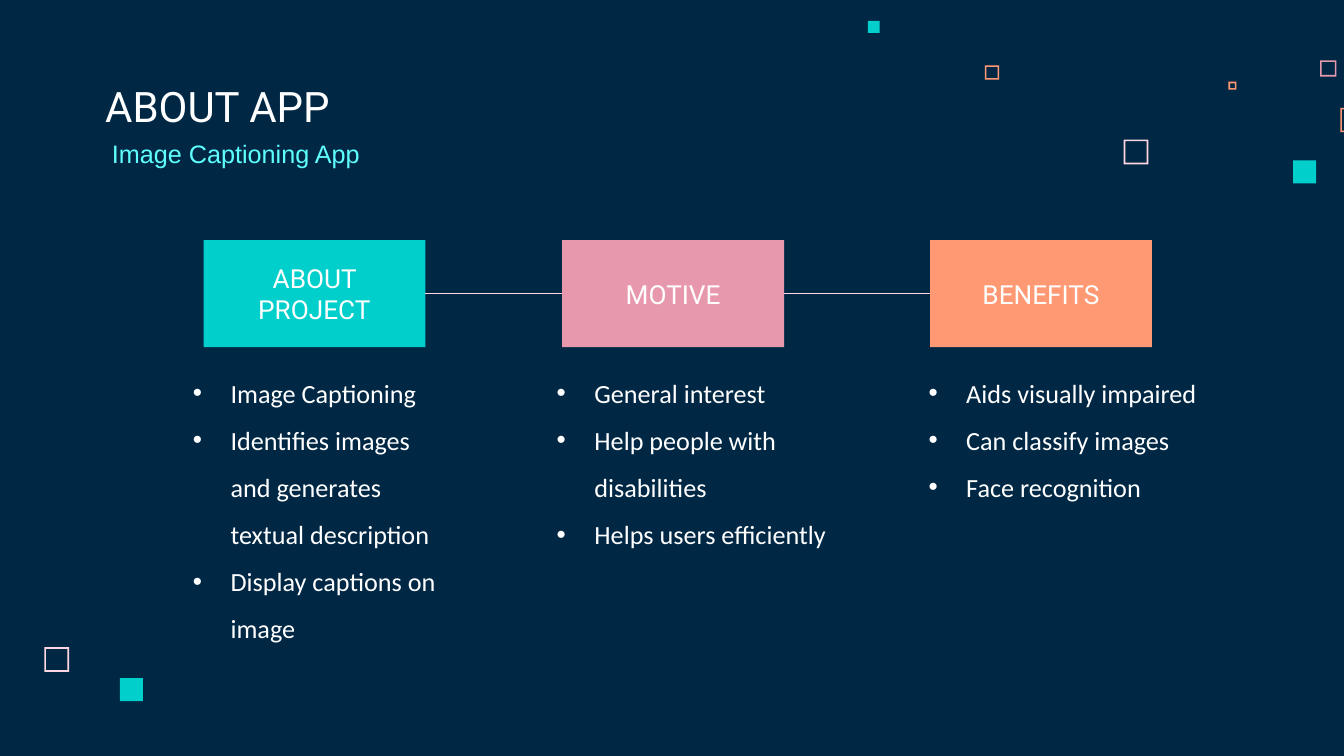
from dataclasses import dataclass

from lxml.etree import SubElement
from pptx import Presentation
from pptx.dml.color import RGBColor
from pptx.enum.shapes import MSO_CONNECTOR, MSO_SHAPE
from pptx.enum.text import MSO_ANCHOR, MSO_AUTO_SIZE, PP_ALIGN
from pptx.oxml.ns import qn
from pptx.util import Cm, Pt

NAVY = "002845"
WHITE = "FFFFFF"
TEAL = "00CFCC"
AQUA = "5EFFFD"
ROSE = "E898AC"
ORANGE = "FF9973"
BLUSH = "FFD6E1"

BOX_TOP, BOX_WIDTH, BOX_HEIGHT = 6.05, 5.59, 2.7
LIST_TOP, LIST_HEIGHT = 8.76, 2.39
WIDE_INSET = (0.34, 0.34)
BULLET_INDENT = 0.95
FRAME_THICKNESS = 0.04


@dataclass(frozen=True)
class Style:
    font: str
    size: float
    color: str = WHITE
    align: PP_ALIGN = PP_ALIGN.LEFT
    anchor: MSO_ANCHOR = MSO_ANCHOR.TOP
    inset: tuple[float, float] = WIDE_INSET
    spacing: float = 1.0
    bulleted: bool = False


@dataclass(frozen=True)
class Topic:
    heading: str
    color: str
    box_left: float
    list_left: float
    list_width: float
    placeholder: int
    points: tuple[str, ...]


@dataclass(frozen=True)
class Square:
    left: float
    top: float
    size: float
    color: str
    framed: bool = True


TITLE = Style("Roboto", 30, anchor=MSO_ANCHOR.BOTTOM)
SUBTITLE = Style("Arial", 18, AQUA, inset=(0.25, 0.13))
HEADING = Style("Roboto", 18.7, align=PP_ALIGN.CENTER, anchor=MSO_ANCHOR.MIDDLE)
BULLETS = Style("Calibri", 18.7, spacing=1.5, bulleted=True)

TOPICS = (
    Topic("ABOUT PROJECT", TEAL, 5.13, 4.52, 6.96, 2, (
        "Image Captioning",
        "Identifies images and generates textual description",
        "Display captions on image",
    )),
    Topic("MOTIVE", ROSE, 14.17, 13.69, 8.31, 3, (
        "General interest",
        "Help people with disabilities",
        "Helps users efficiently",
    )),
    Topic("BENEFITS", ORANGE, 23.44, 23.06, 7.87, 4, (
        "Aids visually impaired",
        "Can classify images",
        "Face recognition",
    )),
)

SQUARES = (
    Square(28.32, 3.52, 0.62, BLUSH),
    Square(33.27, 1.52, 0.41, ROSE),
    Square(30.96, 2.06, 0.2, ORANGE),
    Square(33.78, 2.72, 0.61, ORANGE),
    Square(32.59, 4.04, 0.58, TEAL, framed=False),
    Square(24.82, 1.65, 0.36, ORANGE),
    Square(21.87, 0.53, 0.3, TEAL, framed=False),
    Square(1.12, 16.31, 0.62, BLUSH),
    Square(3.02, 17.09, 0.58, TEAL, framed=False),
)


def paint(target, color: str) -> None:
    target.solid()
    target.fore_color.rgb = RGBColor.from_string(color)


def add_bullet(para) -> None:
    properties = para._p.get_or_add_pPr()
    properties.set("marL", str(Cm(BULLET_INDENT)))
    properties.set("indent", str(-Cm(BULLET_INDENT)))
    bullet_color = SubElement(properties, qn("a:buClr"))
    SubElement(bullet_color, qn("a:srgbClr")).set("val", WHITE)
    SubElement(properties, qn("a:buFont")).set("typeface", "Arial")
    SubElement(properties, qn("a:buChar")).set("char", "•")


def write(box, lines: tuple[str, ...], style: Style) -> None:
    frame = box.text_frame
    frame.word_wrap = True
    frame.auto_size = MSO_AUTO_SIZE.NONE
    frame.vertical_anchor = style.anchor
    frame.margin_left = frame.margin_right = Cm(style.inset[0])
    frame.margin_top = frame.margin_bottom = Cm(style.inset[1])
    for number, line in enumerate(lines):
        para = frame.add_paragraph() if number else frame.paragraphs[0]
        para.alignment = style.align
        para.line_spacing = style.spacing
        para.space_before = para.space_after = Pt(0)
        if style.bulleted:
            add_bullet(para)
        span = para.add_run()
        span.text = line
        span.font.name = style.font
        span.font.size = Pt(style.size)
        span.font.bold = False
        paint(span.font.fill, style.color)


def place(box, left: float, top: float, width: float, height: float) -> None:
    box.left, box.top = Cm(left), Cm(top)
    box.width, box.height = Cm(width), Cm(height)


def add_block(page, kind: MSO_SHAPE, left: float, top: float,
              width: float, height: float, color: str):
    block = page.shapes.add_shape(kind, Cm(left), Cm(top), Cm(width), Cm(height))
    block.shadow.inherit = False
    paint(block.fill, color)
    block.line.fill.background()
    return block


def add_square(page, square: Square) -> None:
    kind = MSO_SHAPE.FRAME if square.framed else MSO_SHAPE.RECTANGLE
    block = add_block(page, kind, square.left, square.top,
                      square.size, square.size, square.color)
    if square.framed:
        block.adjustments[0] = FRAME_THICKNESS / square.size


def add_topic(page, topic: Topic):
    box = add_block(page, MSO_SHAPE.RECTANGLE, topic.box_left, BOX_TOP,
                    BOX_WIDTH, BOX_HEIGHT, topic.color)
    write(box, (topic.heading,), HEADING)
    points = page.placeholders[topic.placeholder]
    place(points, topic.list_left, LIST_TOP, topic.list_width, LIST_HEIGHT)
    write(points, topic.points, BULLETS)
    return box


def join(page, first, second) -> None:
    link = page.shapes.add_connector(MSO_CONNECTOR.STRAIGHT, 0, 0, 0, 0)
    link.begin_connect(first, 3)
    link.end_connect(second, 1)
    link.line.width = Pt(0.75)
    paint(link.line.fill, BLUSH)
    SubElement(link._element.spPr, qn("a:effectLst"))


def main() -> None:
    deck = Presentation()
    deck.slide_width, deck.slide_height = Cm(33.87), Cm(19.05)
    page = deck.slides.add_slide(deck.slide_layouts.get_by_name("Comparison"))
    paint(page.background.fill, NAVY)

    for square in SQUARES:
        add_square(page, square)

    title = page.shapes.title
    place(title, 2.31, 1.52, 21.82, 2.13)
    write(title, ("ABOUT APP",), TITLE)
    subtitle = page.placeholders[1]
    place(subtitle, 2.57, 3.35, 10.97, 1.02)
    write(subtitle, ("Image Captioning App",), SUBTITLE)

    boxes = [add_topic(page, topic) for topic in TOPICS]
    for first, second in zip(boxes, boxes[1:]):
        join(page, first, second)

    deck.save("out.pptx")


if __name__ == "__main__":
    main()
